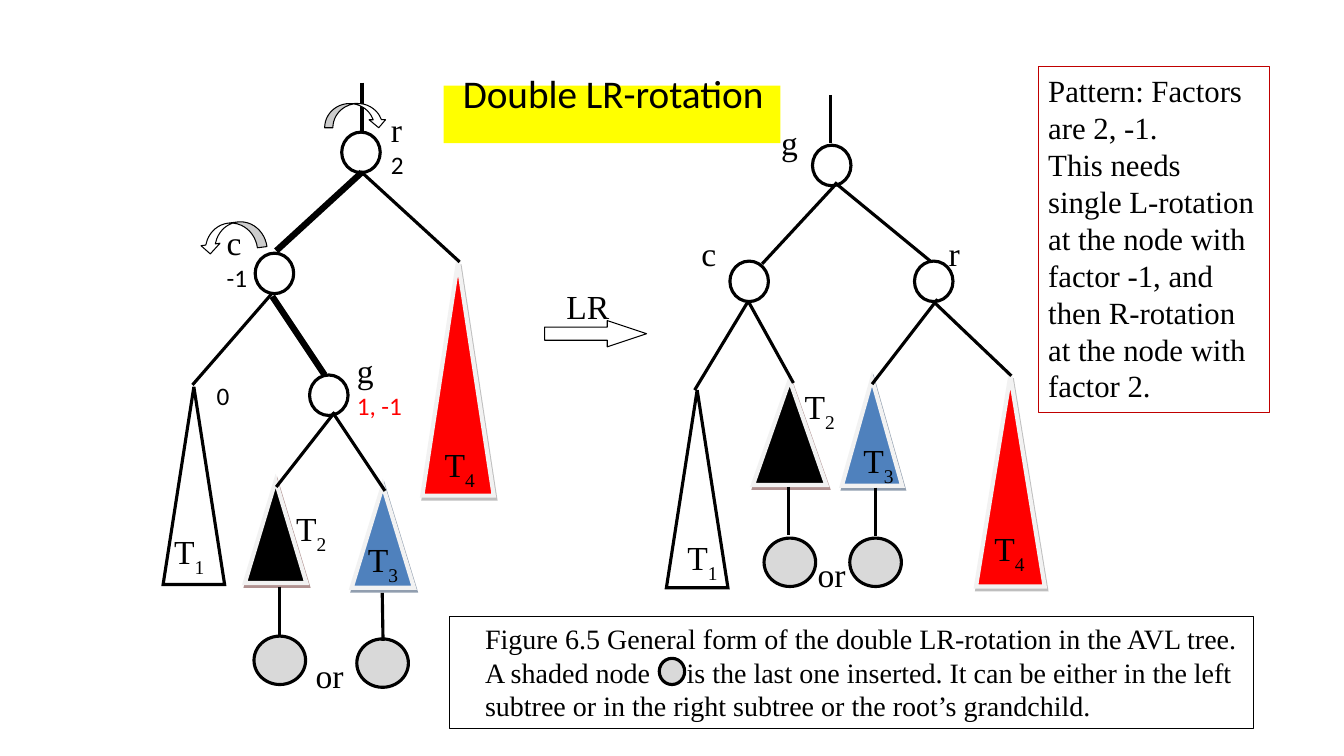
from lxml import etree
from pptx import Presentation
from pptx.dml.color import RGBColor
from pptx.enum.shapes import MSO_CONNECTOR as Link, MSO_SHAPE as Kind
from pptx.enum.text import MSO_ANCHOR as Anchor, PP_ALIGN as Align
from pptx.oxml import parse_xml
from pptx.oxml.ns import nsdecls, qn
from pptx.util import Cm, Pt

BLACK = RGBColor(0x00, 0x00, 0x00)
WHITE = RGBColor(0xFF, 0xFF, 0xFF)
RED = RGBColor(0xFF, 0x00, 0x00)
BLUE = RGBColor(0x4F, 0x81, 0xBD)
YELLOW = RGBColor(0xFF, 0xFF, 0x00)
GREY = RGBColor(0xD9, 0xD9, 0xD9)
PALE = RGBColor(0xF2, 0xF2, 0xF2)
DARK_RED = RGBColor(0xC0, 0x00, 0x00)
SHADOWS = {
    BLACK: RGBColor(0x62, 0x24, 0x23),
    BLUE: RGBColor(0x24, 0x3F, 0x60),
    RED: RGBColor(0x7F, 0x7F, 0x7F),
}
SERIF = "Times New Roman"
SANS = "Calibri"

deck = Presentation()
deck.slide_width, deck.slide_height = Cm(33.86), Cm(19.05)
page = deck.slides.add_slide(deck.slide_layouts[6])


def draw(kind, bounds, fill=None, line=BLACK, width=2.25):
    shape = page.shapes.add_shape(kind, *map(Cm, bounds))
    shape.shadow.inherit = False
    if fill is None:
        shape.fill.background()
    else:
        shape.fill.solid()
        shape.fill.fore_color.rgb = fill
    if line is None:
        shape.line.fill.background()
    else:
        shape.line.color.rgb = line
        shape.line.width = Pt(width)
    return shape


def write(box, text, size=24, font=SERIF, color=BLACK, sub=""):
    frame = box.text_frame
    frame.word_wrap = True
    para = frame.paragraphs[0] if not frame.text else frame.add_paragraph()
    para.alignment = Align.LEFT
    for part in filter(None, (text, sub)):
        span = para.add_run()
        span.text = part
        span.font.size = Pt(size)
        span.font.name = font
        span.font.color.rgb = color
    if sub:
        span.font._element.set("baseline", "-30000")
    return para


subtrees = [
    (6.17, 12.12, 1.55, 2.57, BLACK),
    (8.86, 12.24, 1.57, 2.57, BLUE),
    (10.64, 6.6, 1.8, 5.89, RED),
    (18.97, 9.58, 1.85, 2.64, BLACK),
    (21.21, 9.55, 1.52, 2.69, BLUE),
    (24.59, 9.47, 1.73, 5.31, RED),
    (4.11, 9.75, 1.55, 4.98, WHITE),
    (16.79, 9.83, 1.55, 4.98, WHITE),
]
for *bounds, fill in subtrees:
    tree = draw(Kind.FLOWCHART_EXTRACT, bounds, fill)
    if fill in SHADOWS:
        tree.line.color.rgb = PALE
        tree.line.width = Pt(3)
        effects = tree._element.spPr.find(qn("a:effectLst"))
        effects.append(parse_xml(
            f'<a:outerShdw {nsdecls("a")} dist="28400" dir="3780000" algn="ctr" rotWithShape="0">'
            f'<a:srgbClr val="{SHADOWS[fill]}"><a:alpha val="50000"/></a:srgbClr></a:outerShdw>'
        ))
    miter = etree.SubElement(tree.line._get_or_add_ln(), qn("a:miter"))
    miter.set("lim", "800000")

nodes = [(8.61, 3.33), (6.43, 6.38), (7.8, 9.45), (20.47, 3.66), (18.39, 6.58), (23.04, 6.58)]
for left, top in nodes:
    draw(Kind.FLOWCHART_CONNECTOR, (left, top, 0.97, 1.02), WHITE)
for left, top in [(6.4, 16.03), (8.99, 16.1), (19.25, 13.56), (21.41, 13.56)]:
    draw(Kind.FLOWCHART_CONNECTOR, (left, top, 1.3, 1.22), GREY)

edges = [
    (9.12, 2.08, 9.12, 3.35, 2.25),
    (9.12, 4.34, 6.96, 6.32, 4.5),
    (9.09, 4.32, 11.58, 6.6, 2.25),
    (6.83, 7.42, 4.85, 9.7, 2.25),
    (6.86, 7.47, 8.18, 9.45, 4.5),
    (8.43, 10.39, 6.96, 12.27, 2.25),
    (8.38, 10.39, 9.7, 12.37, 2.25),
    (7.04, 14.78, 7.04, 16.03, 2.25),
    (9.63, 14.94, 9.65, 16.15, 2.25),
    (20.93, 2.39, 20.93, 3.61, 2.25),
    (21.08, 4.62, 19.2, 6.65, 2.25),
    (21.03, 4.6, 23.44, 6.58, 2.25),
    (18.85, 7.59, 17.5, 9.83, 2.25),
    (18.85, 7.59, 19.99, 9.65, 2.25),
    (23.62, 7.54, 21.97, 9.68, 2.25),
    (23.57, 7.65, 25.48, 9.47, 2.25),
    (19.86, 12.27, 19.86, 13.49, 2.25),
    (22.05, 12.29, 22.05, 13.51, 2.25),
]
for *ends, width in edges:
    edge = page.shapes.add_connector(Link.STRAIGHT, *map(Cm, ends))
    edge.line.color.rgb = BLACK
    edge.line.width = Pt(width)
    etree.SubElement(edge._element.spPr, qn("a:effectLst"))

step_arrow = draw(Kind.RIGHT_ARROW, (13.72, 8.08, 2.57, 0.66), WHITE, width=0.75)
step_arrow.adjustments[1] = 1.5
left_turn = draw(Kind.CURVED_RIGHT_ARROW, (5.49, 5.13, 0.71, 1.68), WHITE, width=0.75)
left_turn.rotation = 82.6
right_turn = draw(Kind.CURVED_RIGHT_ARROW, (8.66, 2.13, 0.61, 1.57), WHITE, width=0.75)
right_turn.rotation = 90
right_turn._element.spPr.xfrm.set("flipV", "1")
for turn in (left_turn, right_turn):
    for index, value in enumerate((0.34, 0.68, 0.33)):
        turn.adjustments[index] = value

title = draw(Kind.RECTANGLE, (11.18, 2.16, 8.48, 1.45), YELLOW, line=None)
title.text_frame.margin_left = Cm(0.48)
title.text_frame.margin_bottom = Cm(1.2)
title.text_frame.vertical_anchor = Anchor.MIDDLE
write(title, "Double LR-rotation", size=28, font=SANS)

labels = [
    (9.6, 2.62, 0.97, "r", "2", BLACK),
    (5.46, 5.46, 1.12, "c", "-1", BLACK),
    (8.74, 8.69, 1.85, "g", "1, -1", RED),
    (19.43, 2.95, 1.12, "g", "", BLACK),
    (17.42, 5.74, 1.12, "c", "", BLACK),
    (23.65, 5.74, 0.81, "r", "", BLACK),
    (7.7, 16.38, 1.52, "or", "", BLACK),
    (20.35, 13.84, 1.52, "or", "", BLACK),
    (14.02, 7.09, 1.6, "LR", "", BLACK),
]
for left, top, width, name, factor, color in labels:
    height = 2.06 if factor else 1.27
    label = page.shapes.add_textbox(Cm(left), Cm(top), Cm(width), Cm(height))
    label.text_frame.margin_right = 0
    write(label, name)
    if factor:
        write(label, factor, size=18, font=SANS, color=color)
zero = page.shapes.add_textbox(Cm(5.21), Cm(9.45), Cm(0.97), Cm(1.02))
write(zero, "0", size=18, font=SANS)

subtree_labels = [
    (4.14, 13.26, "1"), (7.21, 12.67, "2"), (8.81, 13.46, "3"), (10.74, 11.07, "4"),
    (17.07, 13.41, "1"), (20.02, 9.6, "2"), (21.29, 10.95, "3"), (24.59, 13.18, "4"),
]
for left, top, number in subtree_labels:
    label = page.shapes.add_textbox(Cm(left), Cm(top), Cm(1.52), Cm(1.27))
    label.text_frame.margin_left = Cm(0.46 if number in "34" else 0.25)
    label.text_frame.margin_right = 0
    write(label, "T", sub=number)

pattern = draw(Kind.RECTANGLE, (26.16, 1.68, 5.82, 8.71), line=DARK_RED, width=0.75)
pattern.text_frame.vertical_anchor = Anchor.TOP
write(pattern, "Pattern: Factors are 2, -1.", size=22)
write(pattern, "This needs single L-rotation at the node with factor -1, "
      "and then R-rotation at the node with factor 2.", size=22)

caption = draw(Kind.RECTANGLE, (11.33, 15.54, 20.24, 2.82), width=0.75)
caption.text_frame.vertical_anchor = Anchor.TOP
caption_para = write(
    caption,
    "Figure 6.5 General form of the double LR-rotation in the AVL tree. "
    "A shaded node\tis the last one inserted. It can be either in the left "
    "subtree or in the right subtree or the root’s grandchild.",
    size=20,
)
indent = caption_para._p.get_or_add_pPr()
indent.set("marL", str(Cm(0.64)))
indent.set("indent", "0")
tabs = etree.SubElement(indent, qn("a:tabLst"))
etree.SubElement(tabs, qn("a:tab"), pos=str(Cm(5.84)), algn="l")
draw(Kind.FLOWCHART_CONNECTOR, (16.61, 16.59, 0.64, 0.66), GREY)

deck.save("out.pptx")
